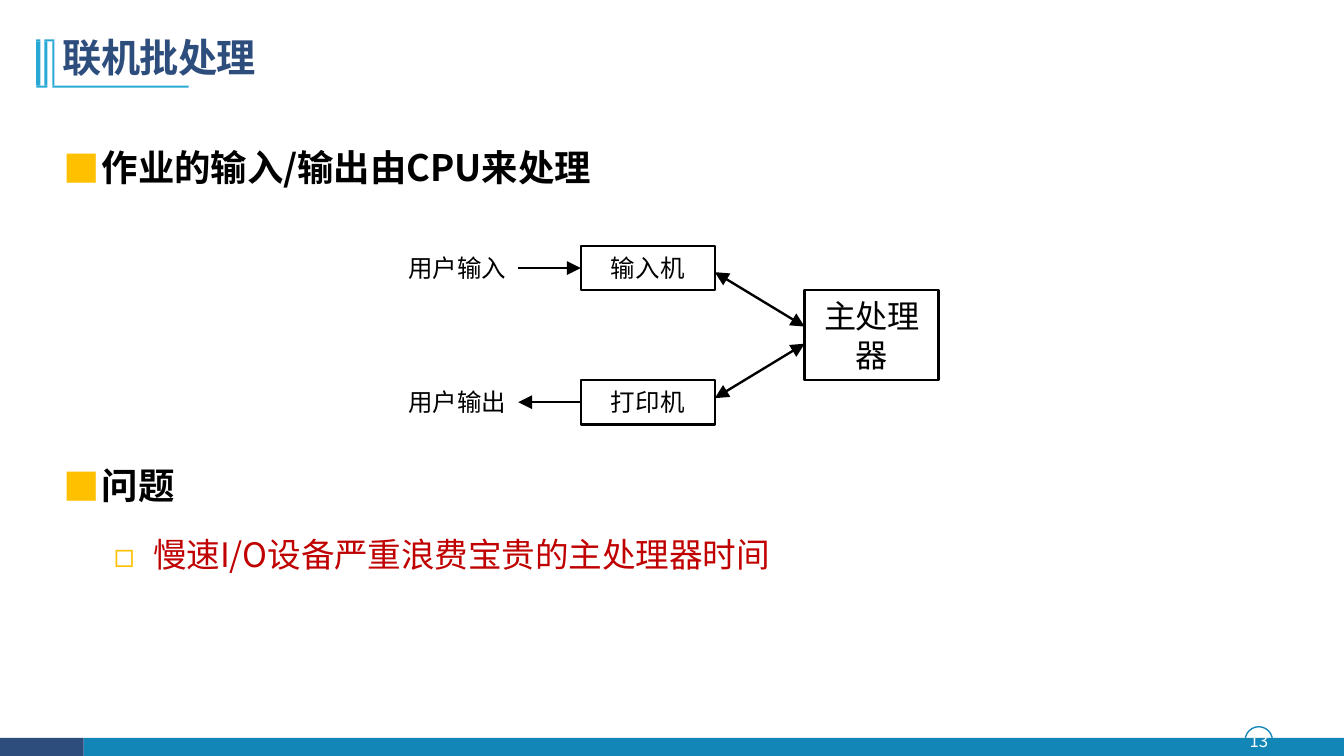
from lxml.etree import SubElement
from pptx import Presentation
from pptx.dml.color import RGBColor
from pptx.enum.shapes import MSO_CONNECTOR, MSO_SHAPE
from pptx.enum.text import MSO_ANCHOR, MSO_AUTO_SIZE, PP_ALIGN
from pptx.oxml.ns import qn
from pptx.util import Inches, Pt

COLORS = {
    "navy": "2D4E7D", "blue": "1286B7", "sky": "28A9D5", "gold": "FFC000",
    "red": "C00000", "black": "000000", "white": "FFFFFF",
}
FONT = "Noto Sans CJK SC"
LINE_WIDTH = Pt(1.69)


def rgb(name):
    return RGBColor.from_string(COLORS[name])


class SlideBuilder:
    def __init__(self, slide):
        self.slide = slide
        self.shapes = slide.shapes

    def prepare_frame(self, frame, top_inset=0.01, side_inset=0, anchor=MSO_ANCHOR.TOP):
        frame.word_wrap = True
        frame.auto_size = MSO_AUTO_SIZE.NONE
        frame.vertical_anchor = anchor
        frame.margin_left = frame.margin_right = Inches(side_inset)
        frame.margin_top, frame.margin_bottom = Inches(top_inset), 0

    def fill_paragraph(self, paragraph, text, size, color="black", bold=False,
                       align=PP_ALIGN.LEFT, before=0, spacing=0):
        """Set text and style; spacing is the letter spacing in points."""
        paragraph.text = text
        paragraph.alignment = align
        paragraph.space_before = Pt(before)
        font = paragraph.font
        font.name, font.size, font.bold = FONT, Pt(size), bold
        font.color.rgb = rgb(color)
        defaults = paragraph._p.pPr.find(qn("a:defRPr"))
        defaults.set("spc", str(round(spacing * 100)))
        SubElement(defaults, qn("a:ea")).set("typeface", FONT)

    def bullet(self, paragraph, symbol, left, hanging):
        properties = paragraph._p.pPr
        properties.set("marL", str(Inches(left)))
        properties.set("indent", str(-Inches(hanging)))
        color = SubElement(properties, qn("a:buClr"))
        SubElement(color, qn("a:srgbClr")).set("val", COLORS["gold"])
        bullet_font = SubElement(properties, qn("a:buFont"))
        bullet_font.set("typeface", FONT)
        character = SubElement(properties, qn("a:buChar"))
        character.set("char", symbol)
        defaults = properties.find(qn("a:defRPr"))
        for element in (color, bullet_font, character):
            defaults.addprevious(element)

    def place(self, placeholder, area):
        (placeholder.left, placeholder.top,
         placeholder.width, placeholder.height) = map(Inches, area)
        self.prepare_frame(placeholder.text_frame)
        return placeholder.text_frame

    def title(self, text, area):
        frame = self.place(self.shapes.title, area)
        self.fill_paragraph(frame.paragraphs[0], text, 28, "navy", True,
                            before=0.9, spacing=-0.4)

    def bullets(self, index, area, heading, detail=None):
        frame = self.place(self.slide.placeholders[index], area)
        main_point = frame.paragraphs[0]
        self.fill_paragraph(main_point, heading, 26, bold=True, before=1.1, spacing=-0.1)
        self.bullet(main_point, "■", 0.39, 0.38)
        if detail:
            sub_point = frame.add_paragraph()
            sub_point.level = 1
            self.fill_paragraph(sub_point, detail, 24, "red", before=19.9, spacing=-0.1)
            self.bullet(sub_point, "◻", 0.9, 0.39)

    def shape(self, kind, area, fill=None, line=None, width=LINE_WIDTH):
        shape = self.shapes.add_shape(kind, *map(Inches, area))
        shape.shadow.inherit = False
        if fill:
            shape.fill.solid()
            shape.fill.fore_color.rgb = rgb(fill)
        else:
            shape.fill.background()
        if line:
            shape.line.color.rgb = rgb(line)
            shape.line.width = width
        else:
            shape.line.fill.background()
        return shape

    def device(self, text, area, size, spacing=0.2):
        box = self.shape(MSO_SHAPE.RECTANGLE, area, line="black")
        self.prepare_frame(box.text_frame, 0, 0.1, MSO_ANCHOR.MIDDLE)
        self.fill_paragraph(box.text_frame.paragraphs[0], text, size,
                            align=PP_ALIGN.CENTER, spacing=spacing)
        return box

    def label(self, text, area, size=17.5, color="black", align=PP_ALIGN.LEFT):
        box = self.shapes.add_textbox(*map(Inches, area))
        self.prepare_frame(box.text_frame, 0.02)
        self.fill_paragraph(box.text_frame.paragraphs[0], text, size, color,
                            align=align, before=1.2)

    def arrow(self, start, end, heads):
        """Draw a line with arrowheads; heads holds headEnd (start) and/or tailEnd (end)."""
        link = self.shapes.add_connector(
            MSO_CONNECTOR.STRAIGHT, *map(Inches, (*start, *end)))
        link.line.color.rgb = rgb("black")
        link.line.width = LINE_WIDTH
        properties = link._element.spPr
        for head in heads:
            tip = SubElement(properties.find(qn("a:ln")), qn(f"a:{head}"))
            for key, value in (("type", "triangle"), ("w", "lg"), ("len", "lg")):
                tip.set(key, value)
        SubElement(properties, qn("a:effectLst"))
        return link


def decorate(page):
    page.shape(MSO_SHAPE.OVAL, (12.35, 7.21, 0.27, 0.27), line="blue", width=Pt(0.96))
    page.shape(MSO_SHAPE.RECTANGLE, (0.83, 7.32, 12.5, 0.18), "blue")
    page.shape(MSO_SHAPE.RECTANGLE, (0, 7.32, 0.83, 0.18), "navy")
    title_marks = [
        (0.36, 0.85, 0.11, 0.02), (0.52, 0.85, 1.35, 0.02),
        (0.36, 0.41, 0.04, 0.44), (0.44, 0.41, 0.03, 0.44), (0.52, 0.41, 0.02, 0.44),
        (0.36, 0.39, 0.04, 0.02), (0.44, 0.39, 0.1, 0.02),
    ]
    for mark in title_marks:
        page.shape(MSO_SHAPE.RECTANGLE, mark, "sky")


def draw_flow(page):
    device_left, device_width, device_height = 5.76, 1.33, 0.44
    device_right = device_left + device_width
    processor_left = 7.98
    page.device("主处理器", (processor_left, 2.88, 1.33, 0.89), 23, -0.8)
    rows = [
        ("用户输入", "输入机", 2.44, "tailEnd", 2.7, 3.24),
        ("用户输出", "打印机", 3.77, "headEnd", 3.95, 3.41),
    ]
    for user, device, top, head, device_y, processor_y in rows:
        middle = top + device_height / 2
        box = page.device(device, (device_left, top, device_width, device_height), 17.5)
        page.label(user, (4.05, middle - 0.17, 1.03, 0.32))
        user_link = page.arrow((5.14, middle), (device_left, middle), [head])
        user_link.end_connect(box, 1)
        page.arrow((device_right, device_y), (processor_left, processor_y),
                   ["headEnd", "tailEnd"])


def main():
    deck = Presentation()
    deck.slide_width, deck.slide_height = Inches(13.33), Inches(7.5)
    two_content = deck.slide_layouts[3]
    page = SlideBuilder(deck.slides.add_slide(two_content))
    decorate(page)
    page.title("联机批处理", (0.62, 0.32, 2.1, 0.49))
    page.bullets(1, (0.62, 1.43, 5.31, 0.92), "作业的输入/输出由CPU来处理")
    page.bullets(2, (0.62, 4.58, 7.1, 1.55), "问题",
                 "慢速I/O设备严重浪费宝贵的主处理器时间")
    draw_flow(page)
    page.label("13", (12.34, 7.23, 0.29, 0.25), 12, "white", PP_ALIGN.CENTER)
    deck.save("out.pptx")


if __name__ == "__main__":
    main()
